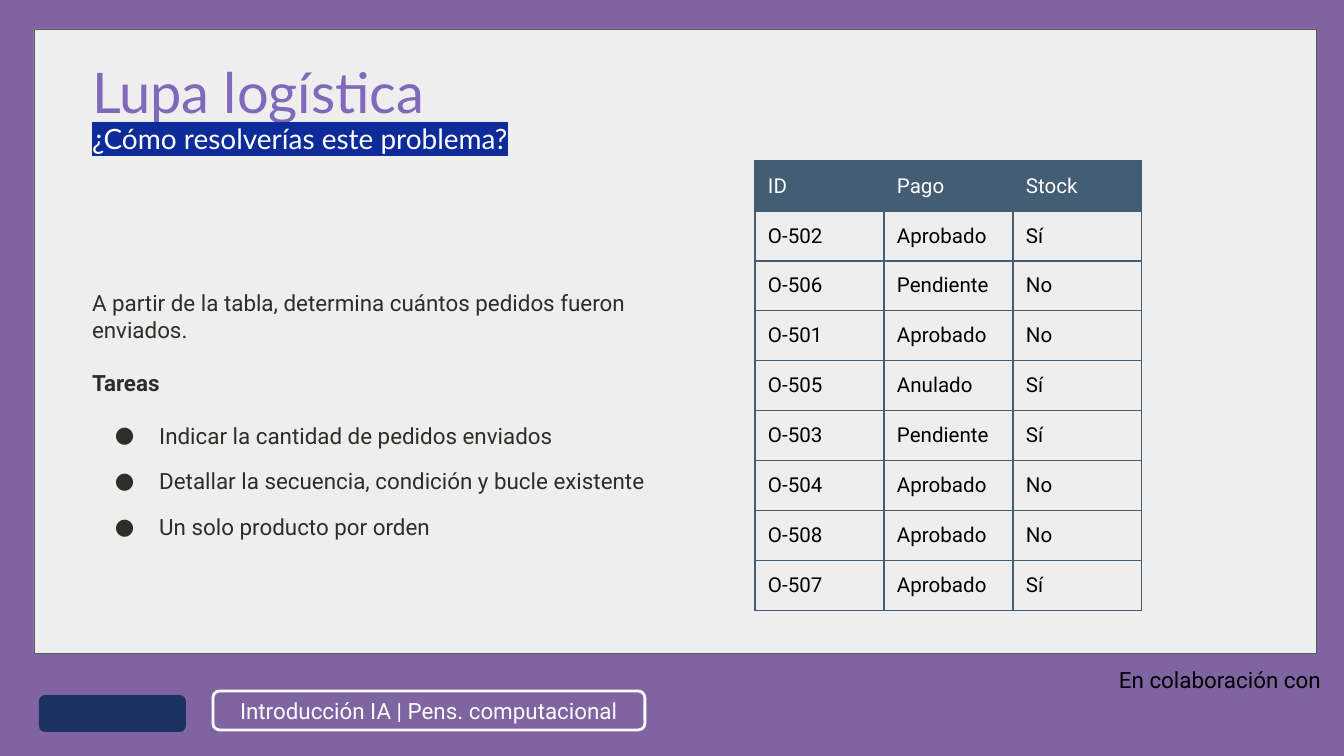
from lxml import etree
from pptx import Presentation
from pptx import util as u
from pptx.dml.color import RGBColor
from pptx.enum import shapes, text
from pptx.oxml.ns import qn

PURPLE = RGBColor(0x80, 0x64, 0xA2)
LILAC = RGBColor(0x80, 0x68, 0xBB)
PALE = RGBColor(0xEE, 0xEE, 0xEE)
GREY = RGBColor(0x59, 0x59, 0x59)
NAVY = RGBColor(0x1E, 0x32, 0x61)
BLUE = RGBColor(0x0E, 0x2C, 0x99)
SLATE = RGBColor(0x43, 0x5D, 0x74)
INK = RGBColor(0x2D, 0x2E, 0x27)
BLACK = RGBColor(0, 0, 0)
WHITE = RGBColor(0xFD, 0xFD, 0xFD)

HEADING = "Lupa logística"
QUESTION = "¿Cómo resolverías este problema?"
INTRO = "A partir de la tabla, determina cuántos pedidos fueron enviados."
TASKS_LABEL = "Tareas"
TASKS = [
    "Indicar la cantidad de pedidos enviados",
    "Detallar la secuencia, condición y bucle existente",
    "Un solo producto por orden",
]
COURSE = "Introducción IA | Pens. computacional"
PARTNER = "En colaboración con"
ORDERS = [
    ("ID", "Pago", "Stock"),
    ("O-502", "Aprobado", "Sí"),
    ("O-506", "Pendiente", "No"),
    ("O-501", "Aprobado", "No"),
    ("O-505", "Anulado", "Sí"),
    ("O-503", "Pendiente", "Sí"),
    ("O-504", "Aprobado", "No"),
    ("O-508", "Aprobado", "No"),
    ("O-507", "Aprobado", "Sí"),
]

EMU_PER_PX = 9144000 / 1344
COLUMN, ROW = 129, 49
INSET = 13


def px(length):
    return u.Emu(round(length * EMU_PER_PX))


def box(*lengths):
    return [px(length) for length in lengths]


def place(part, *lengths):
    part.left, part.top, part.width, part.height = box(*lengths)


def set_frame(frame, inset=INSET, anchor=text.MSO_ANCHOR.TOP):
    frame.word_wrap = True
    frame.auto_size = text.MSO_AUTO_SIZE.NONE
    frame.vertical_anchor = anchor
    frame.margin_left = frame.margin_right = px(inset)
    frame.margin_top = frame.margin_bottom = px(inset)


def write(frame, words, size=12, font="Roboto", color=INK, bold=False, before=0, after=0,
          spacing=1.0, align=text.PP_ALIGN.LEFT, highlight=None, bullet=False):
    line = frame.paragraphs[0]
    if line.runs:
        line = frame.add_paragraph()
    line.alignment = align
    line.line_spacing = spacing
    line.space_before, line.space_after = u.Pt(before), u.Pt(after)
    props = line._p.get_or_add_pPr()
    props.set("marL", str(u.Inches(0.5) if bullet else 0))
    props.set("indent", str(u.Inches(-0.33) if bullet else 0))
    if bullet:
        bullet_color = etree.SubElement(props, qn("a:buClr"))
        etree.SubElement(bullet_color, qn("a:srgbClr"), val=str(color))
        etree.SubElement(props, qn("a:buFont"), typeface=font)
        etree.SubElement(props, qn("a:buChar"), char="●")
    else:
        etree.SubElement(props, qn("a:buNone"))
    run = line.add_run()
    run.text = words
    run.font.size, run.font.name, run.font.bold = u.Pt(size), font, bold
    run.font.color.rgb = color
    if highlight is not None:
        mark = etree.Element(qn("a:highlight"))
        etree.SubElement(mark, qn("a:srgbClr"), val=str(highlight))
        run._r.rPr.find(qn("a:latin")).addprevious(mark)


def add_block(kind, lengths, fill=None, line=None, weight=1.0):
    block = slide.shapes.add_shape(kind, *box(*lengths))
    block.shadow.inherit = False
    for part, color in ((block.fill, fill), (block.line.fill, line)):
        if color is None:
            part.background()
        else:
            part.solid()
            part.fore_color.rgb = color
    if line is not None:
        block.line.width = u.Pt(weight)
    return block


def add_borders(cell, color, weight):
    props = cell._tc.get_or_add_tcPr()
    for side in ("lnL", "lnR", "lnT", "lnB"):
        edge = etree.SubElement(props, qn("a:" + side), w=str(u.Pt(weight)))
        solid = etree.SubElement(edge, qn("a:solidFill"))
        etree.SubElement(solid, qn("a:srgbClr"), val=str(color))


deck = Presentation()
deck.slide_width, deck.slide_height = box(1344, 756)
slide = deck.slides.add_slide(deck.slide_layouts[1])
slide.background.fill.solid()
slide.background.fill.fore_color.rgb = PURPLE

heading = slide.shapes.title
tasks = slide.placeholders[1]
panel = add_block(shapes.MSO_SHAPE.RECTANGLE, (34, 29, 1282, 624), PALE, GREY, 0.38)
heading._element.addprevious(panel._element)

place(heading, 79, 52, 593, 118)
set_frame(heading.text_frame)
write(heading.text_frame, HEADING, size=30, font="Lato", color=LILAC, spacing=0.9)
write(heading.text_frame, QUESTION, size=15, font="Lato", color=WHITE, spacing=0.9,
      highlight=BLUE)

place(tasks, 79, 276, 593, 282)
set_frame(tasks.text_frame)
write(tasks.text_frame, INTRO)
write(tasks.text_frame, TASKS_LABEL, bold=True, before=14)
for index, task in enumerate(TASKS):
    write(tasks.text_frame, task, before=10 if index else 14, bullet=True)

partner = slide.shapes.add_textbox(*box(1106, 659, 228, 35))
set_frame(partner.text_frame, inset=7)
write(partner.text_frame, PARTNER, color=BLACK, align=text.PP_ALIGN.CENTER)

emblem = add_block(shapes.MSO_SHAPE.ROUNDED_RECTANGLE, (39, 695, 147, 37), NAVY)

course = add_block(shapes.MSO_SHAPE.ROUNDED_RECTANGLE, (213, 691, 432, 39), None, WHITE, 1.5)
course.adjustments[0] = 0.17
set_frame(course.text_frame, anchor=text.MSO_ANCHOR.MIDDLE)
write(course.text_frame, COURSE, color=WHITE, align=text.PP_ALIGN.CENTER)

orders = slide.shapes.add_table(
    len(ORDERS), len(ORDERS[0]),
    *box(755, 161, COLUMN * len(ORDERS[0]), ROW * len(ORDERS))).table
orders.first_row = orders.horz_banding = False
for column in orders.columns:
    column.width = px(COLUMN)
for r, order in enumerate(ORDERS):
    orders.rows[r].height = px(ROW)
    for c, value in enumerate(order):
        cell = orders.cell(r, c)
        cell.margin_left = cell.margin_right = px(INSET)
        cell.margin_top = cell.margin_bottom = px(INSET)
        cell.vertical_anchor = text.MSO_ANCHOR.MIDDLE
        add_borders(cell, SLATE, 0.75)
        if r == 0:
            cell.fill.solid()
            cell.fill.fore_color.rgb = SLATE
        else:
            cell.fill.background()
        write(cell.text_frame, value, size=11, color=BLACK if r else WHITE)

deck.save("out.pptx")
